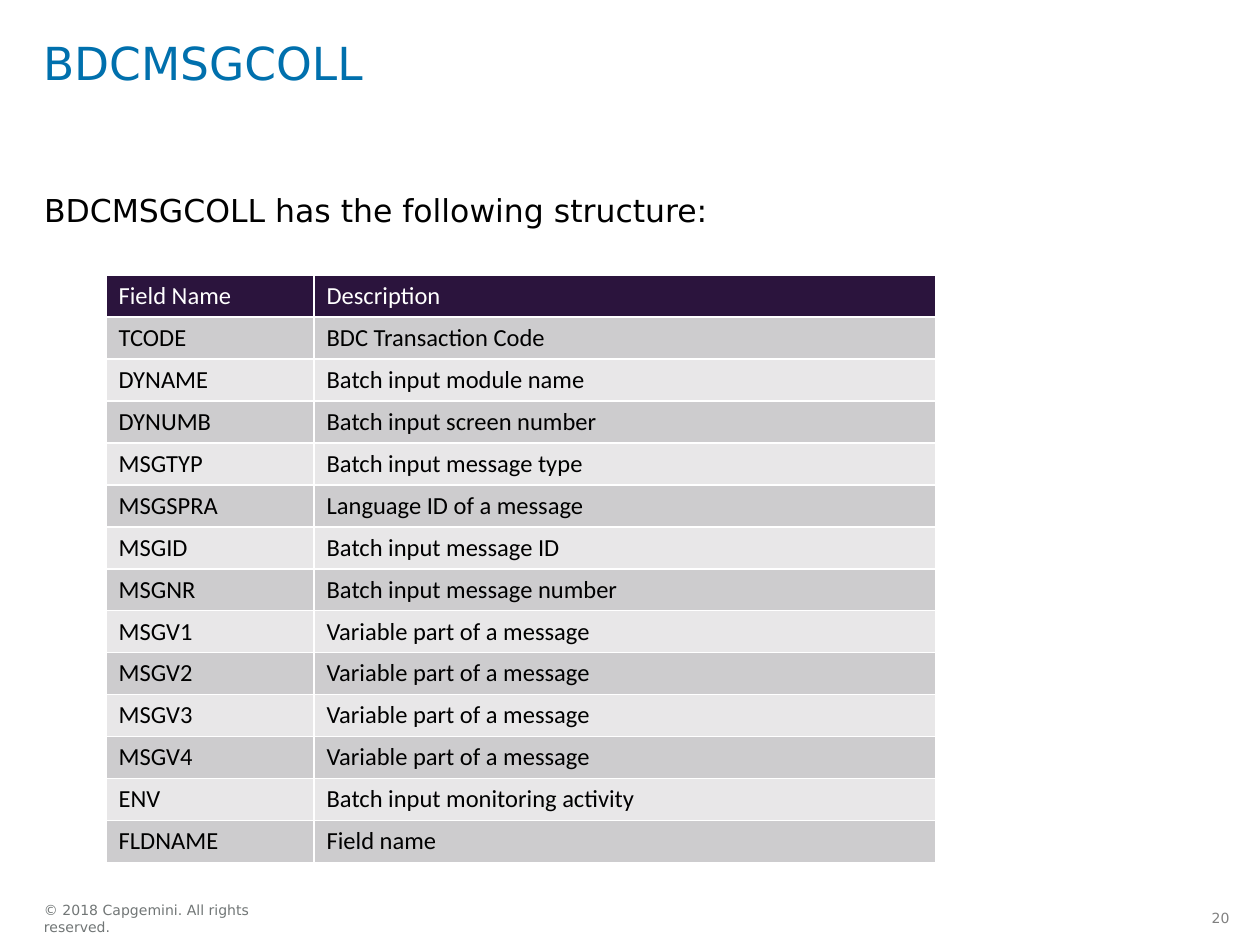
from lxml import etree
from pptx import Presentation
from pptx.dml.color import RGBColor
from pptx.enum.text import MSO_ANCHOR, MSO_AUTO_SIZE, PP_ALIGN
from pptx.oxml.ns import qn
from pptx.util import Emu, Pt

TOP, MIDDLE = MSO_ANCHOR.TOP, MSO_ANCHOR.MIDDLE
LEFT, RIGHT = PP_ALIGN.LEFT, PP_ALIGN.RIGHT
NO_AUTOFIT = MSO_AUTO_SIZE.NONE

PX_PER_INCH = 126
WHITE = RGBColor(0xFF, 0xFF, 0xFF)
BLACK = RGBColor(0x00, 0x00, 0x00)
BLUE = RGBColor(0x00, 0x70, 0xAD)
PURPLE = RGBColor(0x2B, 0x14, 0x3D)
DARK_BAND = RGBColor(0xCD, 0xCC, 0xCE)
LIGHT_BAND = RGBColor(0xE8, 0xE7, 0xE8)
FOOTER_GREY = RGBColor(0x71, 0x76, 0x76)
NUMBER_GREY = RGBColor(0x80, 0x80, 0x80)
TEXT_FONT = "DejaVu Sans"
TABLE_FONT = "Calibri"

ROW_HEIGHT = 42
COLUMN_WIDTHS = (208, 622)
FIELDS = [
    ("Field Name", "Description"),
    ("TCODE", "BDC Transaction Code"),
    ("DYNAME", "Batch input module name"),
    ("DYNUMB", "Batch input screen number"),
    ("MSGTYP", "Batch input message type"),
    ("MSGSPRA", "Language ID of a message"),
    ("MSGID", "Batch input message ID"),
    ("MSGNR", "Batch input message number"),
    ("MSGV1", "Variable part of a message"),
    ("MSGV2", "Variable part of a message"),
    ("MSGV3", "Variable part of a message"),
    ("MSGV4", "Variable part of a message"),
    ("ENV", "Batch input monitoring activity"),
    ("FLDNAME", "Field name"),
]


def px(length):
    """Turn whole pixels into EMU."""
    return Emu(round(length * 914400 / PX_PER_INCH))


def place(shape, left, top, width, height):
    """Move and size a shape, in pixels."""
    shape.left, shape.top = px(left), px(top)
    shape.width, shape.height = px(width), px(height)


def write(frame, text, font, size, color, align=LEFT):
    """Set the single paragraph of a text frame, format it and return it."""
    frame.text = text
    para = frame.paragraphs[0]
    para.alignment = align
    span = para.runs[0].font
    span.name, span.size, span.bold = font, Pt(size), False
    span.color.rgb = color
    return para


def fill_placeholder(box, area, text, size, color, line_spacing):
    """Place a layout placeholder and give it one plain, unbulleted line."""
    place(box, *area)
    frame = box.text_frame
    frame.margin_left = frame.margin_top = frame.margin_right = frame.margin_bottom = 0
    frame.vertical_anchor = TOP
    frame.word_wrap = True
    frame.auto_size = NO_AUTOFIT
    para = write(frame, text, TEXT_FONT, size, color)
    properties = para._p.get_or_add_pPr()
    properties.set("marL", "0")
    properties.set("indent", "0")
    etree.SubElement(properties, qn("a:buNone"))
    para.line_spacing = line_spacing
    para.space_before = Pt(0)


def add_label(page, area, text, color, align=LEFT, anchor=TOP, margins=None):
    """Add a small unwrapped footer text."""
    left, top, width, height = area
    box = page.shapes.add_textbox(px(left), px(top), px(width), px(height))
    frame = box.text_frame
    frame.word_wrap = False
    frame.vertical_anchor = anchor
    if margins is not None:
        frame.margin_left = frame.margin_right = px(margins)
        frame.margin_top = frame.margin_bottom = px(margins)
    write(frame, text, TEXT_FONT, 8, color, align)


def set_borders(cell, color, width):
    """Draw the four borders of a cell."""
    properties = cell._tc.get_or_add_tcPr()
    for position, side in enumerate(("lnL", "lnR", "lnT", "lnB")):
        line = etree.Element(qn(f"a:{side}"), w=str(Pt(width)))
        fill = etree.SubElement(line, qn("a:solidFill"))
        etree.SubElement(fill, qn("a:srgbClr"), val=str(color))
        properties.insert(position, line)


def add_field_table(page, left, top):
    """Add the banded table of structure fields."""
    frame = page.shapes.add_table(
        len(FIELDS), len(COLUMN_WIDTHS), px(left), px(top),
        px(sum(COLUMN_WIDTHS)), px(ROW_HEIGHT * len(FIELDS)))
    table = frame.table
    for column, width in zip(table.columns, COLUMN_WIDTHS):
        column.width = px(width)
    for index, values in enumerate(FIELDS):
        table.rows[index].height = px(ROW_HEIGHT)
        band = DARK_BAND if index % 2 else LIGHT_BAND
        fill, color = (band, BLACK) if index else (PURPLE, WHITE)
        for cell, value in zip(table.rows[index].cells, values):
            cell.margin_top = cell.margin_bottom = px(6)
            cell.fill.solid()
            cell.fill.fore_color.rgb = fill
            set_borders(cell, WHITE, 1)
            write(cell.text_frame, value, TABLE_FONT, 14, color)


def main():
    """Build the slide and save it."""
    deck = Presentation()
    deck.slide_width, deck.slide_height = px(1260), px(945)
    page = deck.slides.add_slide(deck.slide_layouts[1])
    title, body = page.placeholders
    fill_placeholder(title, (43, 37, 1173, 118), "BDCMSGCOLL", 26, BLUE, Pt(30))
    fill_placeholder(body, (44, 195, 1171, 674),
                     "BDCMSGCOLL has the following structure:", 18, BLACK, 0.9)
    add_field_table(page, 106, 275)
    add_label(page, (44, 903, 229, 30), "© 2018 Capgemini. All rights reserved.",
              FOOTER_GREY, anchor=MIDDLE, margins=0)
    add_label(page, (1193, 903, 49, 30), "20", NUMBER_GREY, align=RIGHT)
    deck.save("out.pptx")


if __name__ == "__main__":
    main()
